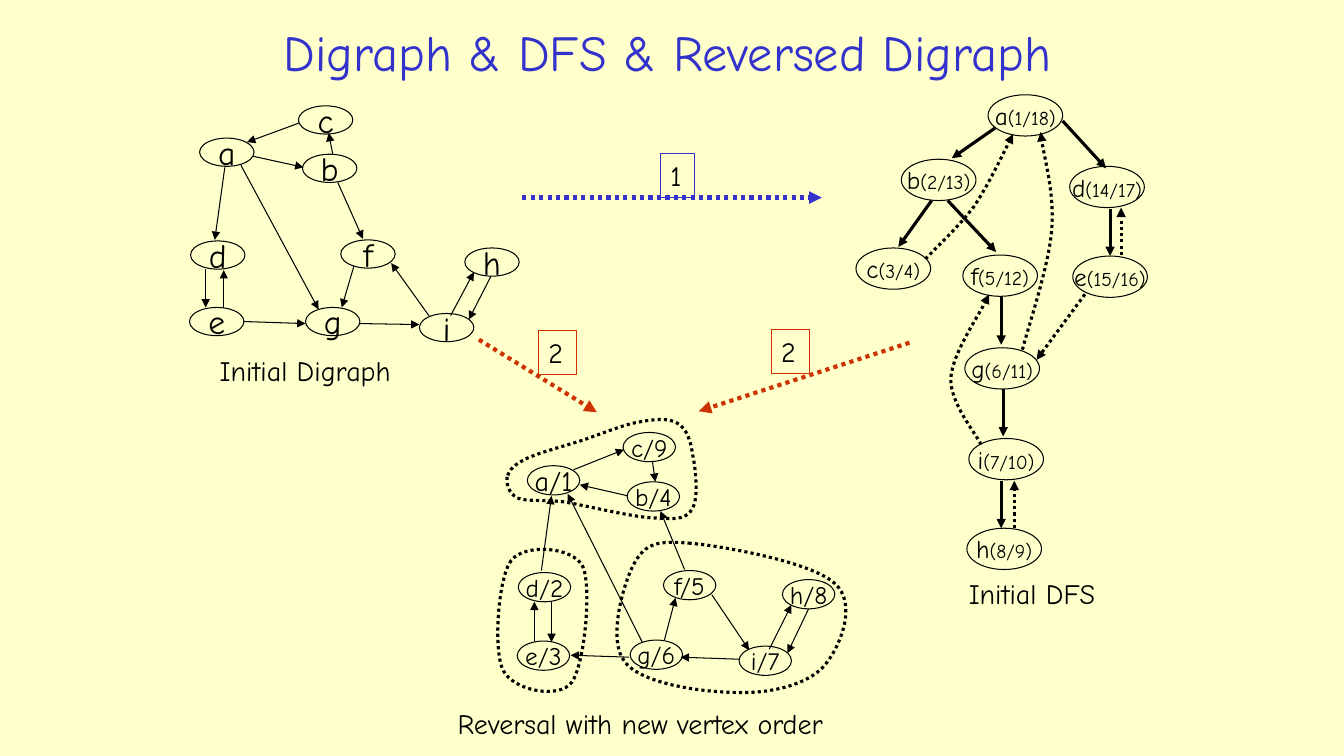
import pptx
import pptx.util
import pptx.dml.color
import pptx.enum.dml
import pptx.enum.shapes
import pptx.enum.text
import pptx.oxml
import pptx.oxml.ns

RGBColor = pptx.dml.color.RGBColor
CREAM = RGBColor(0xFF, 0xFF, 0xCC)
BLACK = RGBColor(0, 0, 0)
BLUE = RGBColor(0x33, 0x33, 0xCC)
RED = RGBColor(0xCC, 0x33, 0x00)
COLS, ROWS = 133.3, 75


class Board:
    font = "Comic Neue"
    dots = pptx.enum.dml.MSO_LINE.ROUND_DOT

    def __init__(self, deck):
        self.slide = deck.slides.add_slide(deck.slide_layouts[5])
        self.shapes = self.slide.shapes
        self.wide = deck.slide_width / COLS
        self.high = deck.slide_height / ROWS
        fill = self.slide.background.fill
        fill.solid()
        fill.fore_color.rgb = CREAM

    def x(self, col):
        return round(col * self.wide)

    def y(self, row):
        return round(row * self.high)

    def area(self, left, top, width, height):
        return self.x(left), self.y(top), self.x(width), self.y(height)

    def style(self, para, size, color=BLACK):
        para.font.name = self.font
        para.font.color.rgb = color
        if size:
            para.font.size = pptx.util.Pt(size)

    def stroke(self, line, color, width, dotted=False, arrow=False):
        line.color.rgb = color
        line.width = pptx.util.Pt(width)
        if dotted:
            line.dash_style = self.dots
        if arrow:
            tail = pptx.oxml.parse_xml(
                f'<a:tailEnd {pptx.oxml.ns.nsdecls("a")} type="triangle"/>')
            line._get_or_add_ln().append(tail)

    def title(self, text, *box):
        shape = self.shapes.title
        shape.left, shape.top, shape.width, shape.height = self.area(*box)
        frame = shape.text_frame
        frame.text = text
        frame.vertical_anchor = pptx.enum.text.MSO_ANCHOR.MIDDLE
        para = frame.paragraphs[0]
        para.alignment = pptx.enum.text.PP_ALIGN.CENTER
        self.style(para, 36, BLUE)

    def node(self, parts, *box):
        oval = self.shapes.add_shape(pptx.enum.shapes.MSO_SHAPE.OVAL, *self.area(*box))
        oval.shadow.inherit = False
        oval.fill.solid()
        oval.fill.fore_color.rgb = CREAM
        self.stroke(oval.line, BLACK, 0.75)
        frame = oval.text_frame
        frame.word_wrap = False
        frame.vertical_anchor = pptx.enum.text.MSO_ANCHOR.MIDDLE
        para = frame.paragraphs[0]
        para.alignment = pptx.enum.text.PP_ALIGN.CENTER
        sizes = {size for _, size in parts}
        self.style(para, sizes.pop() if len(sizes) == 1 else None)
        for text, size in parts:
            run = para.add_run()
            run.text = text
            if sizes:
                run.font.size = pptx.util.Pt(size)

    def arrow(self, start, end, color=BLACK, width=0.75, dotted=False):
        link = self.shapes.add_connector(
            pptx.enum.shapes.MSO_CONNECTOR.STRAIGHT,
            self.x(start[0]), self.y(start[1]), self.x(end[0]), self.y(end[1]))
        self.stroke(link.line, color, width, dotted, True)
        link._element.spPr.append(pptx.oxml.parse_xml(
            f'<a:effectLst {pptx.oxml.ns.nsdecls("a")}/>'))

    def curve(self, points, closed=False):
        spots = [(self.x(col), self.y(row)) for col, row in points]
        form = self.shapes.build_freeform(*spots[0])
        form.add_line_segments(spots[1:], close=closed)
        shape = form.convert_to_shape()
        steps = shape._element.xpath(".//a:lnTo")
        for first in range(0, len(steps), 3):
            bend = pptx.oxml.parse_xml(
                f'<a:cubicBezTo {pptx.oxml.ns.nsdecls("a")}/>')
            steps[first].addprevious(bend)
            for step in steps[first:first + 3]:
                bend.append(step[0])
                step.getparent().remove(step)
        shape.shadow.inherit = False
        shape.fill.background()
        self.stroke(shape.line, BLACK, 2.25, True, not closed)

    def label(self, text, *box, edge=None):
        area = self.shapes.add_textbox(*self.area(*box))
        frame = area.text_frame
        frame.word_wrap = False
        frame.auto_size = pptx.enum.text.MSO_AUTO_SIZE.SHAPE_TO_FIT_TEXT
        frame.text = text
        self.style(frame.paragraphs[0], 20)
        if edge is not None:
            self.stroke(area.line, edge, 0.75)


def draw_search(board):
    for name, time, left, top in [
            ("a", "(1/18)", 98, 9.4), ("b", "(2/13)", 89.4, 15.8),
            ("c", "(3/4)", 84.9, 24.6), ("d", "(14/17)", 106.1, 16.5),
            ("e", "(15/16)", 106.4, 25.4), ("f", "(5/12)", 95.5, 25.3),
            ("g", "(6/11)", 95.7, 34.5), ("i", "(7/10)", 96.1, 43.5),
            ("h", "(8/9)", 95.9, 52.4)]:
        board.node([(name, 18), (time, 14)], left, top, 7.4, 4.1)
    for start, end in [
            ((98.7, 12.7), (94.4, 15.7)), ((92.4, 19.9), (89.1, 24.5)),
            ((94, 19.9), (98.8, 25)), ((99.3, 29.5), (99.3, 34.2)),
            ((99.5, 38.6), (99.5, 43.3)), ((99.3, 47.7), (99.3, 52.4)),
            ((105.4, 12), (109.7, 16.7)), ((110.1, 20.7), (110.1, 25.4))]:
        board.arrow(start, end, width=2.25)
    for start, end in [
            ((111.2, 25.3), (111.2, 20.6)), ((100.6, 52.4), (100.6, 47.7)),
            ((107.6, 29.2), (102.8, 35.7))]:
        board.arrow(start, end, width=2.25, dotted=True)
    for points in [
            [(91.8, 25.7), (92.6, 24.8), (95.1, 22.5), (96.6, 20.5),
             (98, 18.4), (99.7, 14.8), (100.5, 13.3)],
            [(101.4, 34.7), (101.9, 32.7), (104, 26.5), (104.3, 22.9),
             (104.6, 19.3), (103.4, 15.1), (103.2, 13.1)],
            [(97.3, 44.1), (96.8, 43), (94.2, 40), (94.3, 37.5),
             (94.5, 35.1), (97.3, 31), (98.1, 29.2)]]:
        board.curve(points)
    board.label("Initial DFS", 95.1, 56.7, 16.5, 4.3)


def draw_reverse(board):
    for name, left, top in [
            ("a/1", 52.3, 46.2), ("c/9", 61.8, 42.9), ("b/4", 62.2, 47.8),
            ("d/2", 51.4, 56.8), ("e/3", 51.3, 63.6), ("f/5", 65.8, 56.6),
            ("g/6", 62.5, 63.5), ("i/7", 73.3, 64.1), ("h/8", 77.6, 57.5)]:
        board.node([(name, 20 if name == "a/1" else 18)], left, top, 5.2, 2.9)
    for start, end in [
            ((56.9, 46.6), (61.9, 44.6)), ((62.3, 49.2), (57.5, 48.1)),
            ((64.7, 45.7), (65, 47.8)), ((53.7, 56.6), (54.7, 49.2)),
            ((53, 63.6), (53, 59.7)), ((54.7, 59.7), (54.7, 63.7)),
            ((67.9, 56.5), (65.5, 50.7)), ((62.4, 65.2), (56.6, 65)),
            ((70.6, 59), (74.3, 64.5)), ((76.3, 64.4), (78.5, 60)),
            ((80.2, 60.4), (78.1, 64.8)), ((73.3, 65.4), (67.5, 65.2)),
            ((65.9, 63.5), (67, 59.3)), ((63.7, 63.7), (56.3, 49))]:
        board.arrow(start, end)
    for points in [
            [(68.5, 53.9), (65.2, 53.6), (64, 53.9), (62.9, 55.9),
             (61.8, 57.9), (60.2, 63.6), (62, 65.7),
             (63.7, 67.9), (69.9, 68.7), (73.2, 68.7),
             (76.5, 68.8), (80.1, 67.9), (81.7, 66.1),
             (83.3, 64.3), (85.1, 59.9), (82.8, 57.9),
             (80.6, 55.8), (71.9, 54.2), (68.5, 53.9)],
            [(50.7, 55.6), (49.4, 57.3), (48.9, 64.5), (49.9, 66.5),
             (50.9, 68.5), (55.4, 69.4), (56.7, 67.7),
             (58, 65.9), (58.7, 58.2), (57.8, 56.2),
             (56.8, 54.2), (52, 53.9), (50.7, 55.6)],
            [(50.3, 47.3), (50.2, 47.9), (50.4, 48.9), (51.3, 49.4),
             (52.3, 49.8), (53.6, 49.5), (56, 49.8),
             (58.3, 50.2), (63.1, 51.4), (65.2, 51.4),
             (67.3, 51.5), (68.1, 51.5), (68.7, 50.4),
             (69.3, 49.3), (69, 46.5), (68.7, 45.1),
             (68.5, 43.7), (68.1, 42.5), (67.2, 42),
             (66.3, 41.4), (64.8, 41.6), (63.2, 41.9),
             (61.6, 42.2), (59.5, 43.1), (57.7, 43.7),
             (55.8, 44.3), (53.5, 44.9), (52.2, 45.5),
             (51, 46.1), (50.5, 46.6), (50.3, 47.3)]]:
        board.curve(points, closed=True)
    board.label("Reversal with new vertex order", 44.4, 69.6, 42.8, 4.3)


def draw_first(board):
    for name, left, top in [
            ("a", 19.8, 13.7), ("c", 29.6, 10.5), ("b", 30, 15.3),
            ("d", 18.9, 23.9), ("e", 18.8, 30.5), ("f", 33.8, 23.8),
            ("g", 30.3, 30.5), ("i", 41.6, 31.1), ("h", 46.1, 24.6)]:
        board.node([(name, 24)], left, top, 5.4, 2.8)
    for start, end in [
            ((29.7, 12.2), (24.5, 14.1)), ((25.1, 15.5), (30.1, 16.6)),
            ((33, 15.3), (32.6, 13.2)), ((22.3, 16.6), (21.3, 23.8)),
            ((20.4, 26.7), (20.4, 30.5)), ((22.2, 30.6), (22.2, 26.8)),
            ((33.5, 18.1), (36, 23.7)), ((24.2, 31.9), (30.3, 32.1)),
            ((42.6, 31.4), (38.8, 26.1)), ((44.7, 31.3), (47, 27)),
            ((48.7, 27.4), (46.5, 31.7)), ((35.6, 32.1), (41.6, 32.2)),
            ((35.1, 26.4), (33.9, 30.5)), ((23.9, 16.4), (31.6, 30.7))]:
        board.arrow(start, end)
    board.label("Initial Digraph", 20.8, 34.6, 21, 4.3)


def draw_steps(board):
    for text, color, start, end, left, top, width in [
            ("1", BLUE, (51.8, 19.6), (81.5, 19.6), 65.5, 15.2, 3.4),
            ("2", RED, (47.5, 33.7), (59.2, 40.9), 53.4, 32.8, 3.8),
            ("2", RED, (90.2, 34), (69.3, 40.8), 76.5, 32.7, 3.8)]:
        board.arrow(start, end, color, 3, True)
        board.label(text, left, top, width, 4.4, edge=color)


def main():
    deck = pptx.Presentation()
    deck.slide_width = pptx.util.Inches(13.33)
    deck.slide_height = pptx.util.Inches(7.5)
    board = Board(deck)
    board.title("Digraph & DFS & Reversed Digraph", 21.4, 1.8, 89.6, 6.6)
    for draw in (draw_search, draw_reverse, draw_first, draw_steps):
        draw(board)
    deck.save("out.pptx")


if __name__ == "__main__":
    main()
